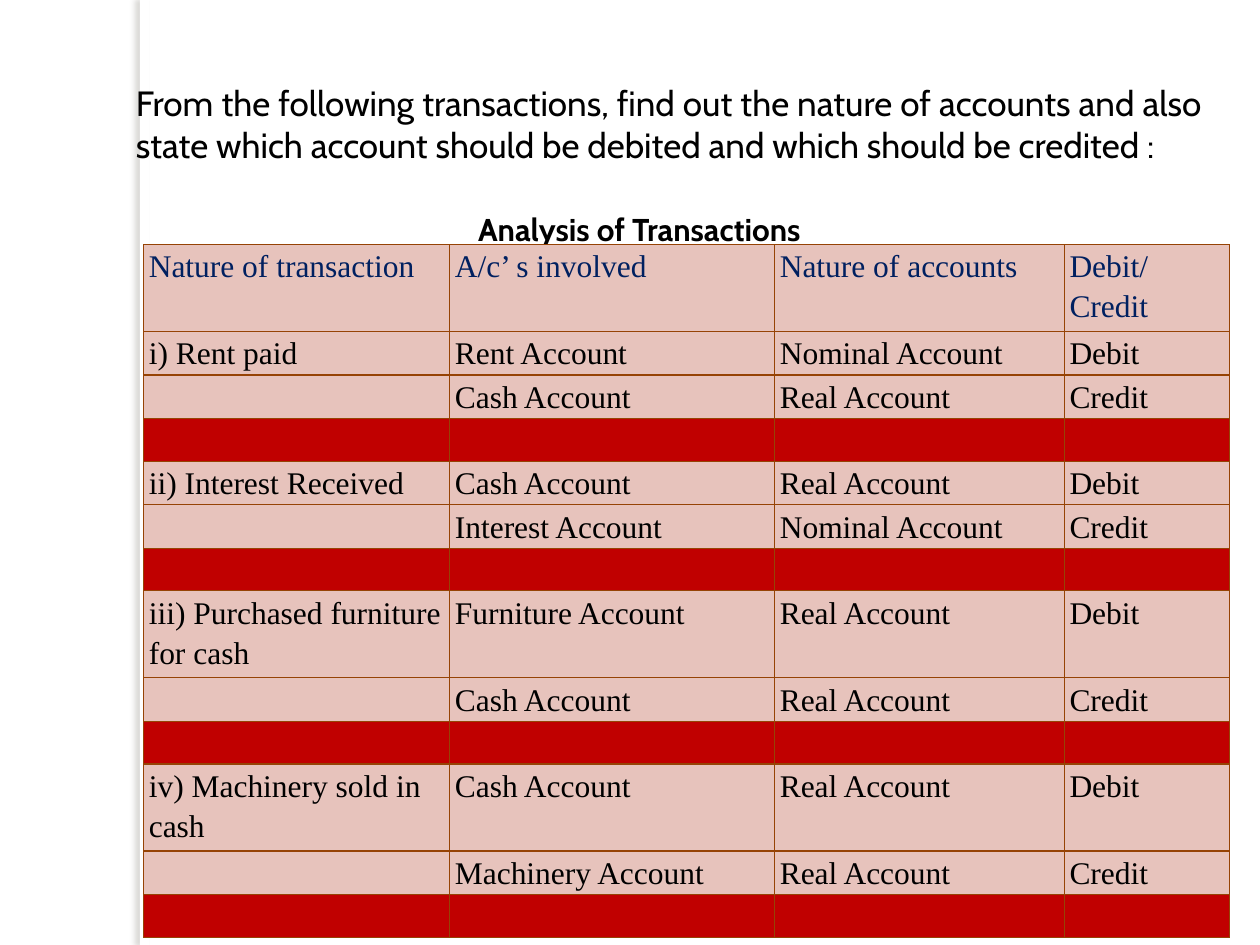
from lxml import etree
from pptx import Presentation
from pptx.dml.color import RGBColor
from pptx.enum.shapes import MSO_SHAPE
from pptx.enum.text import PP_ALIGN
from pptx.oxml import parse_xml
from pptx.oxml.ns import qn
from pptx.util import Cm, Pt

RECTANGLE = MSO_SHAPE.RECTANGLE
LEFT, CENTER, JUSTIFY = PP_ALIGN.LEFT, PP_ALIGN.CENTER, PP_ALIGN.JUSTIFY
WHITE = RGBColor(0xFF, 0xFF, 0xFF)
BLACK = RGBColor(0x00, 0x00, 0x00)
NAVY = RGBColor(0x00, 0x20, 0x60)
PINK = RGBColor(0xE7, 0xC3, 0xBC)
RED = RGBColor(0xC0, 0x00, 0x00)
BROWN = RGBColor(0x96, 0x43, 0x05)
SHADOW = RGBColor(0x73, 0x6F, 0x63)
NAMESPACE = "http://schemas.openxmlformats.org/drawingml/2006/main"


def apply_format(target, values):
    for name, value in values.items():
        setattr(target, name, value)


def add_borders(cell, color, width):
    properties = cell._tc.get_or_add_tcPr()
    for position, side in enumerate(("lnL", "lnR", "lnT", "lnB")):
        line = etree.Element(qn(f"a:{side}"), w=str(int(width)))
        fill = etree.SubElement(line, qn("a:solidFill"))
        etree.SubElement(fill, qn("a:srgbClr"), val=str(color))
        properties.insert(position, line)


presentation = Presentation()
presentation.slide_width = Cm(25.4)
presentation.slide_height = Cm(19.05)
slide = presentation.slides.add_slide(presentation.slide_layouts[6])

side_strip = slide.shapes.add_shape(RECTANGLE, Cm(2.82), Cm(0), Cm(0.2), Cm(19.05))
side_strip.fill.solid()
side_strip.fill.fore_color.rgb = WHITE
side_strip.line.fill.background()
side_strip._element.spPr.append(parse_xml(
    f'<a:effectLst xmlns:a="{NAMESPACE}">'
    f'<a:outerShdw blurRad="{Pt(3)}" dist="{Pt(3)}" dir="10800000" rotWithShape="0">'
    f'<a:srgbClr val="{SHADOW}"><a:alpha val="25000"/></a:srgbClr>'
    "</a:outerShdw></a:effectLst>"
))

headings = [
    ("From the following transactions, find out the nature of accounts and also "
     "state which account should be debited and which should be credited :",
     (2.49, 1.52, 22, 2.82), JUSTIFY, {"size": Pt(20), "bold": False}),
    ("Analysis of Transactions",
     (7.11, 4.11, 11.56, 1.02), CENTER, {"size": Pt(18), "bold": True}),
]
for text, position, alignment, font_format in headings:
    text_box = slide.shapes.add_textbox(*map(Cm, position))
    text_box.text_frame.word_wrap = True
    paragraph = text_box.text_frame.paragraphs[0]
    paragraph.alignment = alignment
    run = paragraph.add_run()
    run.text = text
    apply_format(run.font, font_format | {"name": "Cabin"})
    run.font.color.rgb = BLACK

transactions = [
    ("i) Rent paid", 0.87,
     ("Rent Account", "Nominal Account"), ("Cash Account", "Real Account")),
    ("ii) Interest Received", 0.87,
     ("Cash Account", "Real Account"), ("Interest Account", "Nominal Account")),
    ("iii) Purchased furniture for cash", 1.75,
     ("Furniture Account", "Real Account"), ("Cash Account", "Real Account")),
    ("iv) Machinery sold in cash", 1.75,
     ("Cash Account", "Real Account"), ("Machinery Account", "Real Account")),
]
header = ("Nature of transaction", "A/c’ s involved", "Nature of accounts", "Debit/\nCredit")
rows = [(header, 1.75, PINK)]
for transaction, height, debit, credit in transactions:
    rows += [
        ((transaction, *debit, "Debit"), height, PINK),
        (("", *credit, "Credit"), 0.87, PINK),
        (("",) * 4, 0.86, RED),
    ]

column_widths = [6.17, 6.55, 5.84, 3.33]
table = slide.shapes.add_table(
    len(rows), len(column_widths), Cm(2.9), Cm(4.93),
    Cm(sum(column_widths)), Cm(sum(height for _, height, _ in rows)),
).table
for column, width in zip(table.columns, column_widths):
    column.width = Cm(width)

cell_format = {
    "margin_left": Cm(0.1), "margin_right": Cm(0.1),
    "margin_top": Cm(0), "margin_bottom": Cm(0),
}
table_font = {"name": "Times New Roman", "size": Pt(18), "bold": False}
for row_index, (texts, height, fill_color) in enumerate(rows):
    is_header = row_index == 0
    table.rows[row_index].height = Cm(height)
    for column_index, text in enumerate(texts):
        cell = table.cell(row_index, column_index)
        apply_format(cell, cell_format | {"text": text})
        cell.fill.solid()
        cell.fill.fore_color.rgb = fill_color
        add_borders(cell, BROWN, Pt(0.75))
        for paragraph in cell.text_frame.paragraphs:
            paragraph.alignment = JUSTIFY if is_header else LEFT
            paragraph.line_spacing = 1.15
            for run in paragraph.runs:
                apply_format(run.font, table_font)
                run.font.color.rgb = NAVY if is_header else BLACK

presentation.save("out.pptx")
